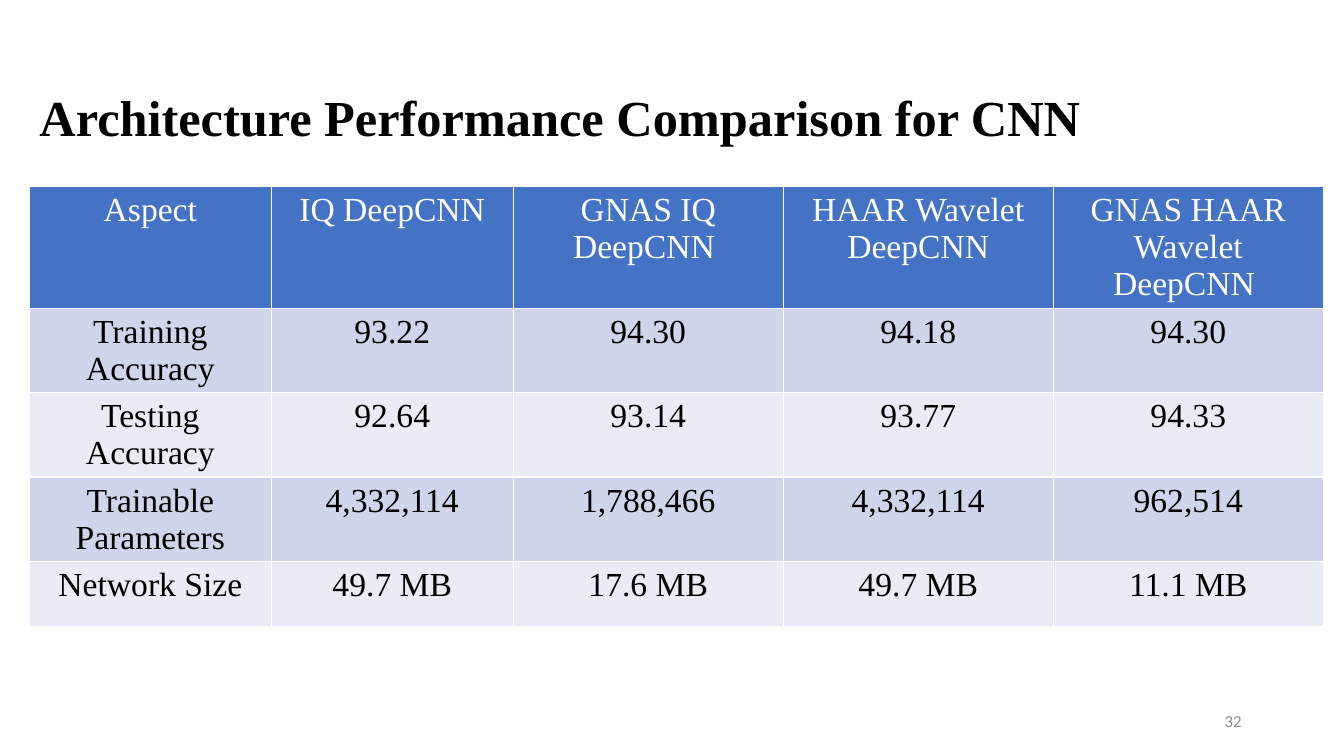
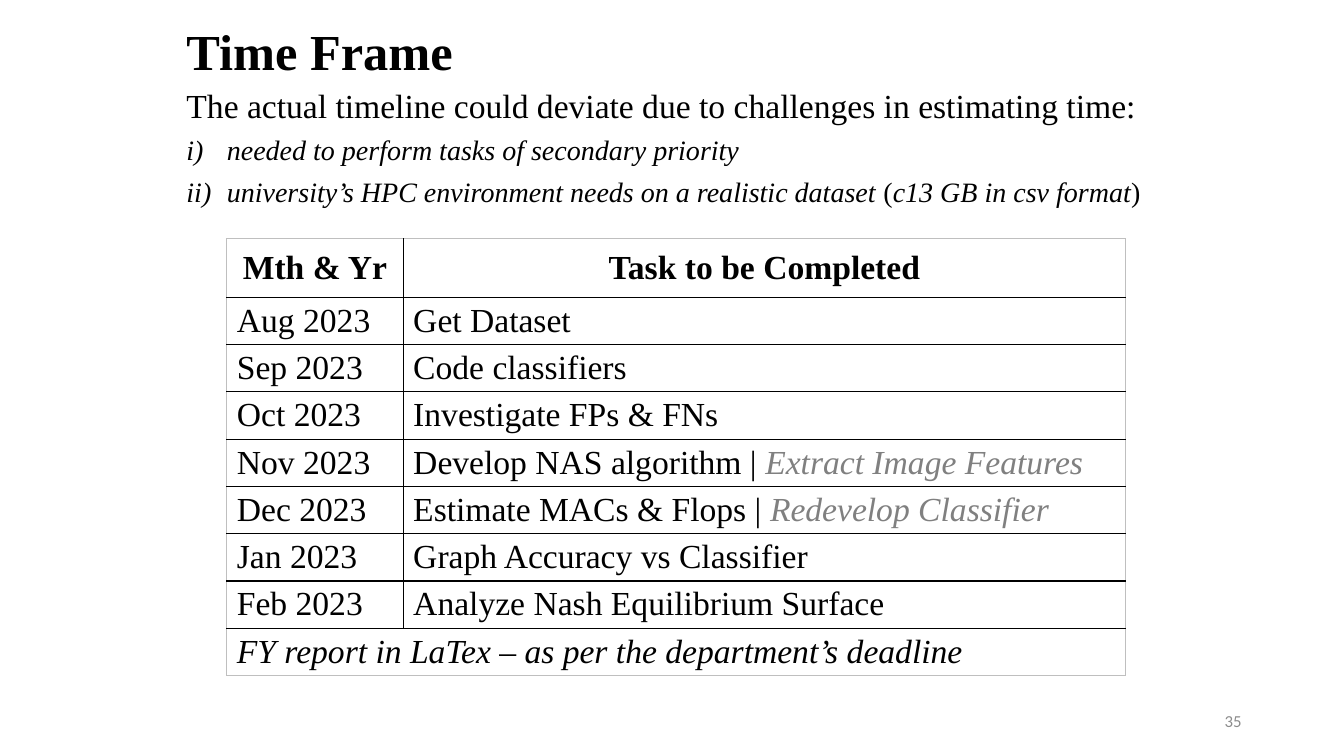
from lxml import etree
from pptx import Presentation
from pptx.dml.color import RGBColor
from pptx.enum.text import MSO_ANCHOR, MSO_AUTO_SIZE, PP_ALIGN
from pptx.oxml.ns import qn
from pptx.util import Inches, Pt

LEFT, CENTER, RIGHT = PP_ALIGN.LEFT, PP_ALIGN.CENTER, PP_ALIGN.RIGHT
TOP, MIDDLE = MSO_ANCHOR.TOP, MSO_ANCHOR.MIDDLE
TITLE_AND_BODY, TITLE_ONLY = 1, 5

COLORS = {
    "text": "000000", "muted": "808080", "number": "8C8C8C",
    "white": "FFFFFF", "header": "4472C4", "band1": "CFD5EA",
    "band2": "E9EBF5", "rule": "000000", "edge": "BFBFBF",
}
SERIF, SANS = "Times New Roman", "Calibri"
ITALIC = {"italic": True}
MUTED = {"italic": True, "color": "muted"}

# The slide is a grid of 160 x 90 units
COLS, ROWS = 160, 90
UNIT = Inches(13.333) / COLS

PERFORMANCE = [
    ["Aspect", "IQ DeepCNN", "GNAS IQ DeepCNN ", "HAAR Wavelet DeepCNN",
     "GNAS HAAR Wavelet DeepCNN "],
    ["Training Accuracy", "93.22", "94.30", "94.18", "94.30"],
    ["Testing Accuracy", "92.64", "93.14", "93.77", "94.33"],
    ["Trainable Parameters", "4,332,114", "1,788,466", "4,332,114", "962,514"],
    ["Network Size", "49.7 MB", "17.6 MB", "49.7 MB", "11.1 MB"],
]
TIMELINE = [
    ["Mth & Yr", "Task to be Completed"],
    ["Aug 2023", "Get Dataset"],
    ["Sep 2023", "Code classifiers"],
    ["Oct 2023", "Investigate FPs & FNs"],
    ["Nov 2023", [("Develop NAS algorithm | ", {}),
                  ("Extract Image Features", MUTED)]],
    ["Dec 2023", [("Estimate MACs & Flops | ", {}),
                  ("Redevelop Classifier", MUTED)]],
    ["Jan 2023", "Graph Accuracy vs Classifier"],
    ["Feb 2023", "Analyze Nash Equilibrium Surface"],
    [[("FY report in LaTex – as per the department’s deadline", ITALIC)], ""],
]
INTRO = "The actual timeline could deviate due to challenges in estimating time:"
CHALLENGES = [
    [("needed to perform tasks of secondary priority", ITALIC)],
    [("university’s HPC environment needs on a realistic dataset ", ITALIC),
     ("(", {}), ("c13 GB in csv format", ITALIC), (")", {})],
]


def u(n):
    return int(n * UNIT)


def rgb(name):
    return RGBColor.from_string(COLORS[name])


def style(r, size, font=SERIF, color="text", bold=False, italic=False):
    r.font.size, r.font.name = Pt(size), font
    r.font.bold, r.font.italic = bold, italic
    r.font.color.rgb = rgb(color)


def write(p, content, size, align=LEFT, **base):
    """Fill a paragraph with plain text or with (text, style) pieces."""
    p.alignment = align
    pieces = [(content, {})] if isinstance(content, str) else content
    for text, extra in pieces:
        r = p.add_run()
        r.text = text
        style(r, size, **{**base, **extra})


def place(sp, left, top, width, height):
    sp.left, sp.top, sp.width, sp.height = map(u, (left, top, width, height))


def frame(sp, anchor):
    tf = sp.text_frame
    tf.word_wrap, tf.auto_size = True, MSO_AUTO_SIZE.NONE
    tf.vertical_anchor = anchor
    return tf


def add_slide(prs, layout, title, box, anchor, number, spacing=1.0):
    """Slide with the shared title style and page number."""
    s = prs.slides.add_slide(prs.slide_layouts[layout])
    place(s.shapes.title, *box)
    p = frame(s.shapes.title, anchor).paragraphs[0]
    p.line_spacing = spacing
    write(p, title, 36, bold=True)
    sp = s.shapes.add_textbox(u(113), u(83.4), u(36), u(4.8))
    write(frame(sp, MIDDLE).paragraphs[0], number, 12, RIGHT,
          font=SANS, color="number")
    return s


def add_body(s, box, intro, items):
    """Introductory line followed by a roman-numbered list."""
    sp = s.placeholders[1]
    place(sp, *box)
    tf = frame(sp, TOP)
    for i, content in enumerate([intro] + items):
        p = tf.paragraphs[0] if i == 0 else tf.add_paragraph()
        write(p, content, 20 if i else 24)
        p.line_spacing = 0.9
        p.space_before = Pt(2 if i else 0)
        p.space_after = Pt(0 if i == len(items) else 6)
        pPr = p._p.get_or_add_pPr()
        indent = Inches(0.4) if i else 0
        pPr.set("marL", str(indent))
        pPr.set("indent", str(-indent))
        if i:
            etree.SubElement(pPr, qn("a:buFont"), typeface=SERIF)
            etree.SubElement(pPr, qn("a:buAutoNum"), type="romanLcParenR")
        else:
            etree.SubElement(pPr, qn("a:buNone"))


def set_borders(cell, sides):
    """sides: (colour, points) for left, right, top and bottom."""
    tcPr = cell._tc.get_or_add_tcPr()
    for i, (side, (color, width)) in enumerate(zip("LRTB", sides)):
        ln = etree.Element(qn("a:ln" + side), w=str(Pt(width)))
        fill = etree.SubElement(ln, qn("a:solidFill"))
        etree.SubElement(fill, qn("a:srgbClr"), val=COLORS[color])
        tcPr.insert(i, ln)


def add_table(s, left, top, widths, heights, data, anchor, format_cell,
              inner, outer):
    """Table whose format_cell(row) gives fill, alignment and text style."""
    tbl = s.shapes.add_table(len(heights), len(widths), u(left), u(top),
                             u(sum(widths)), u(sum(heights))).table
    tbl.first_row = tbl.horz_banding = False
    for column, width in zip(tbl.columns, widths):
        column.width = u(width)
    for row, height in zip(tbl.rows, heights):
        row.height = u(height)
    if data[-1][-1] == "":
        tbl.cell(len(data) - 1, 0).merge(tbl.cell(len(data) - 1, len(widths) - 1))
    for i, row in enumerate(data):
        fill, align, text_style = format_cell(i)
        for j, content in enumerate(row):
            cell = tbl.cell(i, j)
            cell.vertical_anchor = anchor
            if fill:
                cell.fill.solid()
                cell.fill.fore_color.rgb = rgb(fill)
            else:
                cell.fill.background()
            if content:
                write(cell.text_frame.paragraphs[0], content, 24, align,
                      **text_style)
            at_edge = (j == 0, j == len(row) - 1 or cell.is_merge_origin,
                       i == 0, i == len(data) - 1)
            set_borders(cell, [outer if e else inner for e in at_edge])


def performance_cell(row):
    if row == 0:
        return "header", CENTER, {"color": "white"}
    return ("band1" if row % 2 else "band2"), CENTER, {}


def timeline_cell(row):
    return None, LEFT if row else CENTER, {"bold": row == 0}


def main():
    prs = Presentation()
    prs.slide_width, prs.slide_height = u(COLS), u(ROWS)

    # Performance comparison
    s = add_slide(prs, TITLE_ONLY, "Architecture Performance Comparison for CNN",
                  (3.5, 9.6, 140, 8.5), TOP, "32")
    add_table(s, 3.5, 22.2, [28.8] * 2 + [32.15] * 3,
              [14.5] + [10.05] * 3 + [7.8], PERFORMANCE, TOP,
              performance_cell, ("white", 1), ("white", 1))

    # Time frame
    s = add_slide(prs, TITLE_AND_BODY, "Time Frame", (21, 2, 108, 9), MIDDLE,
                  "35", 0.9)
    add_body(s, (21, 10, 118, 77), INTRO, CHALLENGES)
    add_table(s, 27, 28.4, [21, 86], [7] + [5.63] * 8, TIMELINE, MIDDLE,
              timeline_cell, ("rule", 1), ("edge", 0.5))

    prs.save("out.pptx")


if __name__ == "__main__":
    main()
